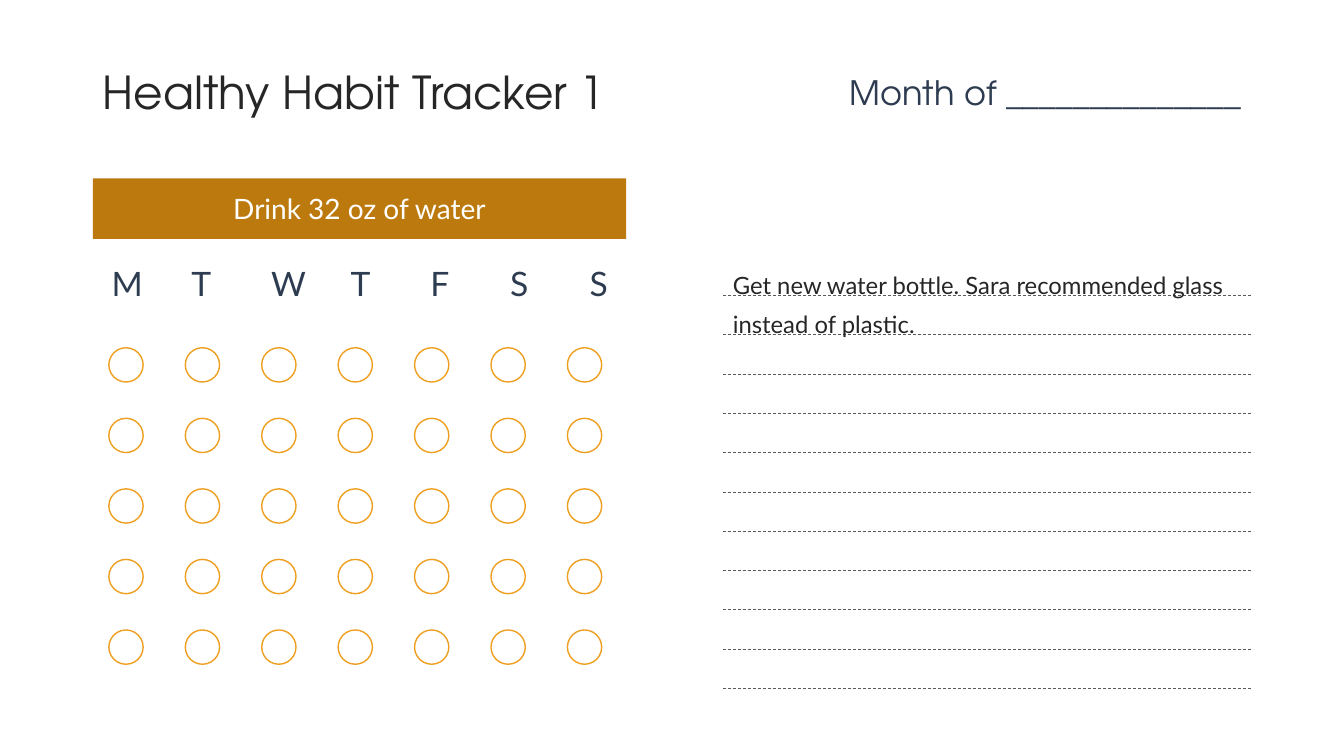
from lxml import etree
from pptx import Presentation
from pptx.dml.color import RGBColor
from pptx.enum import dml, shapes, text
from pptx.oxml import ns
from pptx.util import Inches, Pt

INK = RGBColor(0x26, 0x26, 0x26)
NAVY = RGBColor(0x2D, 0x3C, 0x50)
OCHRE = RGBColor(0xBC, 0x7A, 0x0E)
AMBER = RGBColor(0xEE, 0x9F, 0x20)
GREY = RGBColor(0x59, 0x59, 0x59)
WHITE = RGBColor(0xFF, 0xFF, 0xFF)
HEADING_FONT = "TeX Gyre Adventor"
BODY_FONT = "Lato"

DAYS = "MTWTFSS"
WEEKS = 5
NOTE_LINES = 11
DAY_TAB = 0.79


def write(shape, wording, font_name, size, color, align=text.PP_ALIGN.LEFT,
          anchor=text.MSO_ANCHOR.MIDDLE, spacing=None, before=None):
    frame = shape.text_frame
    frame.word_wrap = True
    frame.vertical_anchor = anchor
    frame.text = wording
    paragraph = frame.paragraphs[0]
    paragraph.alignment = align
    paragraph.line_spacing = spacing
    paragraph.space_before = before
    font = paragraph.runs[0].font
    font.name = font_name
    font.size = Pt(size)
    font.color.rgb = color
    return paragraph


def add_text(slide, left, top, width, height, *content, **layout):
    box = slide.shapes.add_textbox(Inches(left), Inches(top), Inches(width), Inches(height))
    return write(box, *content, **layout)


def add_plain_shape(slide, kind, left, top, width, height):
    shape = slide.shapes.add_shape(kind, Inches(left), Inches(top), Inches(width), Inches(height))
    shape.shadow.inherit = False
    return shape


def add_habit_bar(slide, wording):
    bar = add_plain_shape(slide, shapes.MSO_SHAPE.RECTANGLE, 0.92, 1.77, 5.29, 0.6)
    bar.fill.solid()
    bar.fill.fore_color.rgb = OCHRE
    bar.line.fill.background()
    write(bar, wording, BODY_FONT, 20, WHITE, align=text.PP_ALIGN.CENTER)


def add_day_letters(slide):
    paragraph = add_text(slide, 1.01, 2.6, 5.19, 0.49, "\t".join(DAYS), BODY_FONT, 24, NAVY,
                         anchor=text.MSO_ANCHOR.TOP, spacing=0.9, before=Pt(10))
    tabs = etree.SubElement(paragraph._p.get_or_add_pPr(), ns.qn("a:tabLst"))
    for day in range(1, len(DAYS)):
        etree.SubElement(tabs, ns.qn("a:tab"), pos=str(Inches(day * DAY_TAB)), algn="l")


def add_day_circle(slide, left, top):
    circle = add_plain_shape(slide, shapes.MSO_SHAPE.OVAL, left, top, 0.34, 0.34)
    circle.fill.background()
    circle.line.color.rgb = AMBER
    circle.line.width = Pt(1)


def add_note_line(slide, top):
    line = slide.shapes.add_connector(shapes.MSO_CONNECTOR.STRAIGHT, Inches(7.17), Inches(top),
                                      Inches(12.42), Inches(top))
    line.line.color.rgb = GREY
    line.line.width = Pt(0.5)
    line.line.dash_style = dml.MSO_LINE.DASH
    etree.SubElement(line._element.spPr, ns.qn("a:effectLst"))


def main():
    presentation = Presentation()
    presentation.slide_width = Inches(13.33)
    presentation.slide_height = Inches(7.5)
    slide = presentation.slides.add_slide(presentation.slide_layouts[6])

    for row in range(NOTE_LINES):
        add_note_line(slide, 2.93 + row * 0.39)

    add_text(slide, 0.92, 0.4, 5.29, 1.08, "Healthy Habit Tracker 1", HEADING_FONT, 32.4, INK,
             spacing=0.9)
    add_text(slide, 7.17, 0.4, 5.24, 1.08, "Month of ______________", HEADING_FONT, 24, NAVY,
             align=text.PP_ALIGN.RIGHT, spacing=0.9, before=Pt(10))
    add_habit_bar(slide, "Drink 32 oz of water")
    add_day_letters(slide)

    for week in range(WEEKS):
        for day in range(len(DAYS)):
            add_day_circle(slide, 1.08 + day * 0.758, 3.45 + week * 0.7)

    add_text(slide, 7.17, 2.53, 5.24, 4.47,
             "Get new water bottle. Sara recommended glass instead of plastic.",
             BODY_FONT, 17, INK, anchor=text.MSO_ANCHOR.TOP, spacing=1.37)

    presentation.save("out.pptx")


main()
